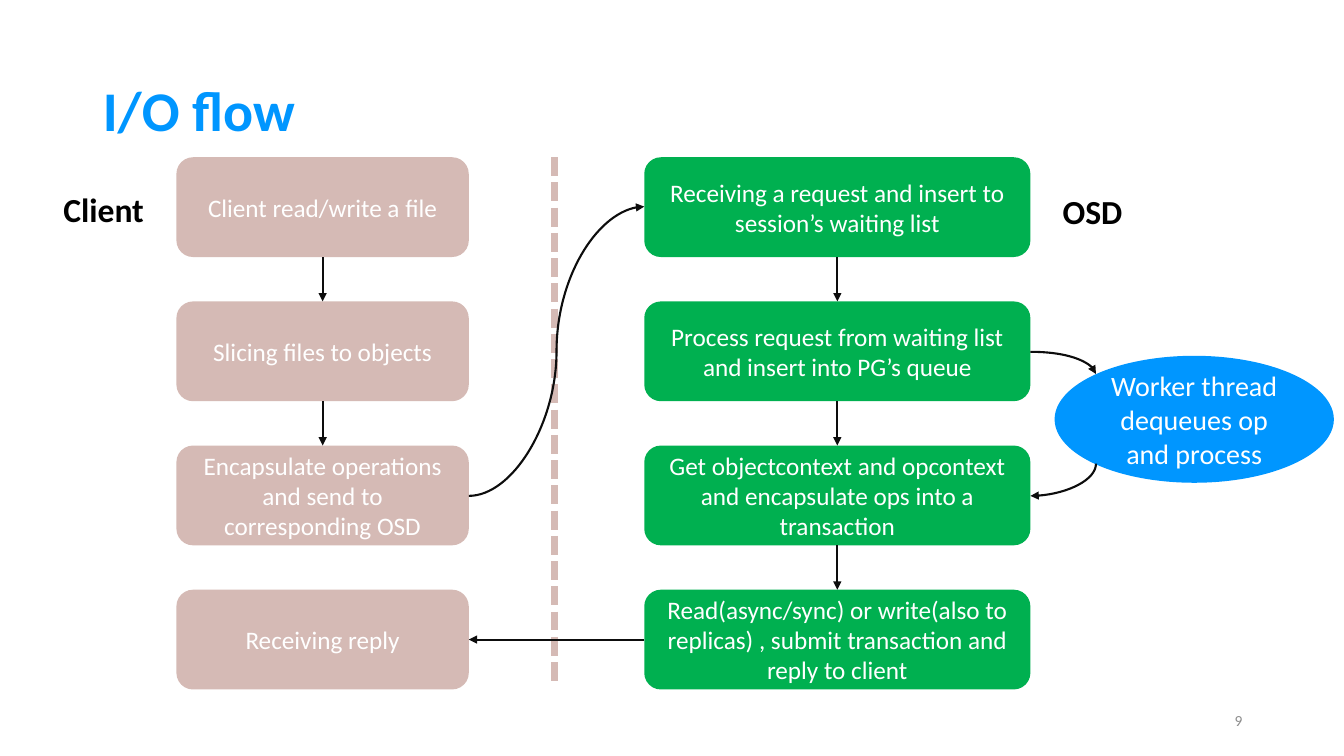
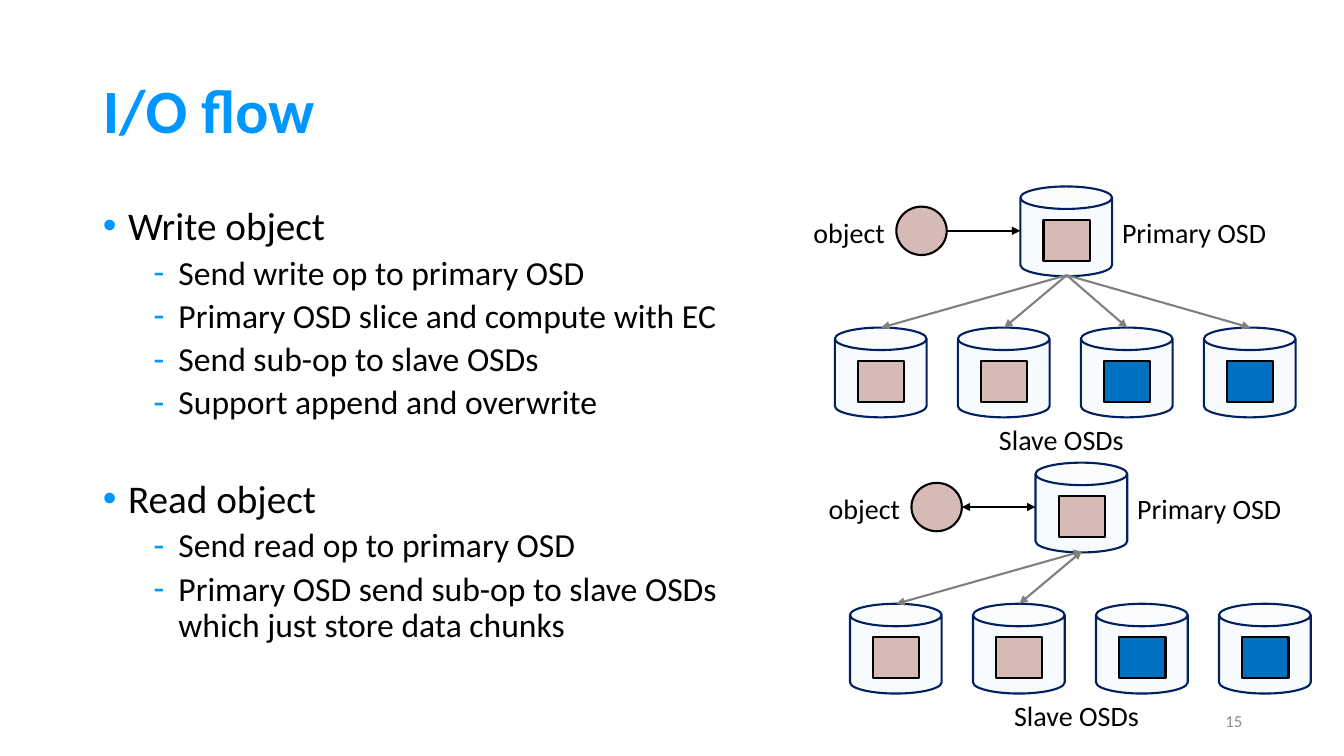
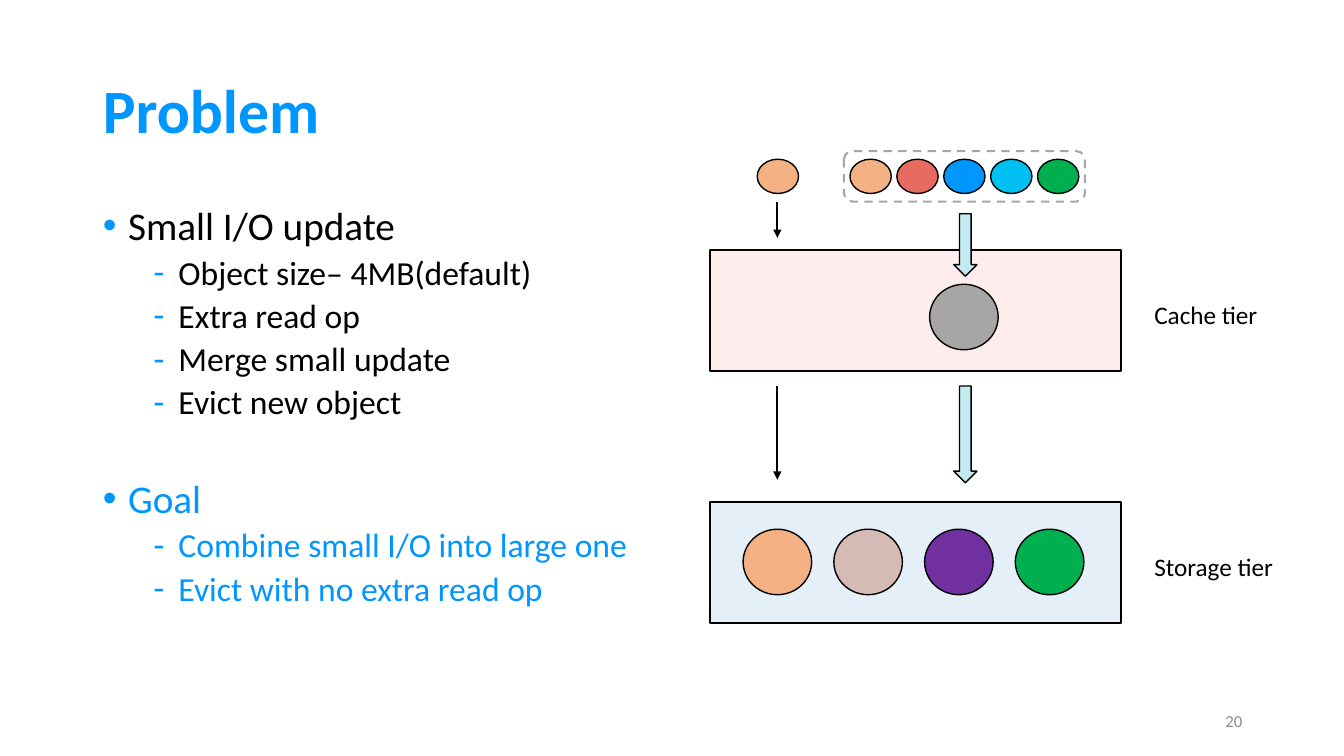
from lxml.etree import SubElement as Sub
from pptx import Presentation
from pptx.dml.color import RGBColor
from pptx.enum.dml import MSO_LINE as Dash
from pptx.enum.shapes import MSO_CONNECTOR as Wire, MSO_SHAPE as Kind
from pptx.enum.text import MSO_ANCHOR as Anchor, MSO_AUTO_SIZE as Fit, PP_ALIGN as Align
from pptx.oxml.ns import qn
from pptx.util import Inches, Pt

FONT = "Calibri"
BLUE = RGBColor(0x00, 0x96, 0xFF)
ROSE = RGBColor(0xD5, 0xBA, 0xB5)
GREEN = RGBColor(0x00, 0xB0, 0x50)
WHITE = RGBColor(0xFF, 0xFF, 0xFF)
BLACK = RGBColor(0x00, 0x00, 0x00)
INK = RGBColor(0x0D, 0x0D, 0x0D)
GRAY = RGBColor(0x80, 0x80, 0x80)
PALE = RGBColor(0x8C, 0x8C, 0x8C)
SILVER = RGBColor(0xA6, 0xA6, 0xA6)
NAVY = RGBColor(0x00, 0x20, 0x60)
STEEL = RGBColor(0x5B, 0x9B, 0xD5)
COBALT = RGBColor(0x00, 0x70, 0xC0)
PEACH = RGBColor(0xF4, 0xB1, 0x83)
CORAL = RGBColor(0xE8, 0x6B, 0x62)
CYAN = RGBColor(0x00, 0xBF, 0xF1)
PURPLE = RGBColor(0x70, 0x30, 0xA0)
AQUA = RGBColor(0xC3, 0xE9, 0xF1)
RED = RGBColor(0xFF, 0x00, 0x00)
SKY = RGBColor(0xBD, 0xD7, 0xEE)


def write(par, text, size=18, color=BLACK, bold=False, align=Align.LEFT, lead=None, before=0):
    """Put formatted text into a paragraph."""
    run = par.add_run()
    run.text = text
    run.font.name, run.font.size, run.font.bold = FONT, Pt(size), bold
    run.font.color.rgb = color
    par.alignment, par.space_before = align, Pt(before)
    if lead:
        par.line_spacing = lead


def mark(par, sign, indent):
    """Give a paragraph a blue bullet with a hanging indent."""
    props = par._p.get_or_add_pPr()
    props.set("marL", str(Inches(indent)))
    props.set("indent", str(-Inches(0.25)))
    Sub(Sub(props, qn("a:buClr")), qn("a:srgbClr"), val=str(BLUE))
    Sub(props, qn("a:buChar"), char=sign)


class Deck:
    """Hold the shared style and the current slide."""

    def __init__(self):
        """Start an empty wide deck."""
        self.show = Presentation()
        self.show.slide_width, self.show.slide_height = Inches(13.33), Inches(7.5)

    def place(self, item, x, y, w, h):
        """Move and size an item."""
        item.left, item.top = Inches(x), Inches(y)
        item.width, item.height = Inches(w), Inches(h)

    def page(self, title, number, layout=1, size=44, small=12):
        """Add a slide with its title and number."""
        self.slide = self.show.slides.add_slide(self.show.slide_layouts[layout])
        head = self.slide.shapes.title
        self.place(head, 0.92, 0.4, 11.5, 1.45)
        head.text_frame.vertical_anchor = Anchor.MIDDLE
        write(head.text_frame.paragraphs[0], title, size=size, color=BLUE, bold=True, lead=0.9)
        foot = self.slide.shapes.add_textbox(Inches(9.42), Inches(6.95), Inches(3), Inches(0.4))
        foot.text_frame.word_wrap = True
        foot.text_frame.vertical_anchor = Anchor.MIDDLE
        write(foot.text_frame.paragraphs[0], number, size=small, color=PALE, align=Align.RIGHT)

    def body(self, width, groups):
        """Fill the body with headed groups of points."""
        body = self.slide.placeholders[1]
        self.place(body, 0.92, 2, width, 4.76)
        frame = body.text_frame
        frame.auto_size = Fit.NONE
        for i, (head, color, points) in enumerate(groups):
            par = frame.add_paragraph() if i else frame.paragraphs[0]
            write(par, head, size=28, color=color, lead=0.9, before=41 if i else 10)
            mark(par, "•", 0.25)
            for point in points:
                par = frame.add_paragraph()
                par.level = 1
                write(par, point, size=24, color=color, lead=0.9, before=5)
                mark(par, "-", 0.75)

    def label(self, text, x, y, w, h, **fmt):
        """Add a one-line label."""
        box = self.slide.shapes.add_textbox(Inches(x), Inches(y), Inches(w), Inches(h))
        box.text_frame.word_wrap = False
        box.text_frame.auto_size = Fit.SHAPE_TO_FIT_TEXT
        write(box.text_frame.paragraphs[0], text, **fmt)

    def shape(self, kind, x, y, w, h, fill=None, alpha=None, line=None, width=1.0, dash=None,
              text=None, size=18):
        """Add a preset shape, with white text if given."""
        item = self.slide.shapes.add_shape(kind, Inches(x), Inches(y), Inches(w), Inches(h))
        item.shadow.inherit = False
        if fill is None:
            item.fill.background()
        else:
            item.fill.solid()
            item.fill.fore_color.rgb = fill
        if alpha:
            tint = item.element.spPr.find(qn("a:solidFill")).find(qn("a:srgbClr"))
            Sub(tint, qn("a:alpha"), val=str(alpha * 1000))
        if line is None:
            item.line.fill.background()
        else:
            item.line.color.rgb, item.line.width = line, Pt(width)
        if dash:
            item.line.dash_style = dash
        if text:
            item.text_frame.word_wrap = True
            item.text_frame.vertical_anchor = Anchor.MIDDLE
            write(item.text_frame.paragraphs[0], text, size=size, color=WHITE, align=Align.CENTER)
        return item

    def line(self, start, end, color=BLACK, width=1.5, kind=Wire.STRAIGHT, head=False, tail=True,
             dash=None, bend=None):
        """Add a connector with optional arrowheads."""
        wire = self.slide.shapes.add_connector(kind, *map(Inches, (*start, *end)))
        wire.line.color.rgb, wire.line.width = color, Pt(width)
        if dash:
            wire.line.dash_style = dash
        props = wire.element.spPr
        for name, used in (("a:headEnd", head), ("a:tailEnd", tail)):
            if used:
                Sub(props.find(qn("a:ln")), qn(name), type="triangle")
        Sub(props, qn("a:effectLst"))
        if bend:
            props.find(qn("a:prstGeom")).set("prst", bend)
        return wire

    def link(self, first, out, second, into):
        """Glue a straight arrow between two boxes."""
        wire = self.line((0, 0), (1, 1), color=INK)
        wire.begin_connect(first, out)
        wire.end_connect(second, into)


def flow(deck):
    """Build the request flow slide."""
    deck.page("I/O flow", "9", layout=5, size=40, small=11)
    lanes = (
        (1.75, 2.9, ROSE, (
            "Client read/write a file",
            "Slicing files to objects",
            "Encapsulate operations and send to corresponding OSD",
            "Receiving reply")),
        (6.39, 3.83, GREEN, (
            "Receiving a request and insert to session’s waiting list",
            "Process request from waiting list and insert into PG’s queue",
            "Get objectcontext and opcontext and encapsulate ops into a transaction",
            "Read(async/sync) or write(also to replicas) , submit transaction and reply to client")),
    )
    client, server = (
        [deck.shape(Kind.ROUNDED_RECTANGLE, x, 1.56 + 1.43 * i, w, 0.99, fill=color, text=text)
         for i, text in enumerate(steps)]
        for x, w, color, steps in lanes)
    deck.shape(Kind.OVAL, 10.46, 3.53, 2.77, 1.26, fill=BLUE, size=20,
               text="Worker thread dequeues op and process")
    deck.line((5.5, 1.56), (5.5, 6.76), color=ROSE, width=4.5, tail=False, dash=Dash.SQUARE_DOT)
    for lane in (client[:3], server):
        for upper, lower in zip(lane, lane[1:]):
            deck.link(upper, 2, lower, 0)
    deck.link(server[3], 1, client[3], 3)
    deck.line((4.65, 4.92), (6.39, 2.05), color=INK, kind=Wire.CURVE)
    deck.line((10.22, 3.49), (10.87, 3.71), color=INK, kind=Wire.CURVE, bend="curvedConnector2")
    deck.line((10.22, 4.92), (10.87, 4.6), color=INK, kind=Wire.CURVE, bend="curvedConnector2",
              head=True, tail=False)
    deck.label("Client", 0.53, 1.83, 1.12, 0.5, size=24, bold=True)
    deck.label("OSD", 10.44, 1.84, 0.88, 0.5, size=24, bold=True)


def store(deck, x, y, color):
    """Draw one disk with its chunk."""
    deck.shape(Kind.CAN, x, y, 0.91, 0.89, fill=STEEL, alpha=4, line=NAVY, width=1.5)
    deck.shape(Kind.RECTANGLE, x + 0.23, y + 0.33, 0.46, 0.41, fill=color, line=BLACK, width=1.5)


def spread(deck, x, y, count, both):
    """Draw a primary disk and its slaves."""
    store(deck, x + 1.84, y, ROSE)
    deck.shape(Kind.OVAL, x + 0.61, y + 0.2, 0.5, 0.48, fill=ROSE, line=BLACK, width=1.5)
    deck.line((x + 1.11, y + 0.44), (x + 1.84, y + 0.44), head=both)
    for i, color in enumerate((ROSE, ROSE, COBALT, COBALT)):
        left = x + 1.22 * i
        store(deck, left, y + 1.4, color)
        if i < count:
            deck.line((x + 2.3, y + 0.88), (left + 0.46, y + 1.4), color=GRAY, head=both)
    deck.label("object", x - 0.31, y + 0.24, 0.93, 0.44, size=20)
    deck.label("Primary OSD", x + 2.75, y + 0.24, 1.71, 0.44, size=20)
    deck.label("Slave OSDs", x + 1.53, y + 2.29, 1.53, 0.44, size=20)


def access(deck):
    """Build the write and read slide."""
    deck.page("I/O flow", "15")
    deck.body(6.82, (
        ("Write object", BLACK, (
            "Send write op to primary OSD",
            "Primary OSD slice and compute with EC",
            "Send sub-op to slave OSDs",
            "Support append and overwrite")),
        ("Read object", BLACK, (
            "Send read op to primary OSD",
            "Primary OSD send sub-op to slave OSDs which just store data chunks")),
    ))
    spread(deck, 8.28, 1.85, 4, False)
    spread(deck, 8.43, 4.59, 2, True)


def tiers(deck):
    """Build the cache and storage tier slide."""
    deck.page("Problem", "20")
    deck.body(11.5, (
        ("Small I/O update", BLACK, (
            "Object size– 4MB(default)",
            "Extra read op",
            "Merge small update",
            "Evict new object")),
        ("Goal", BLUE, (
            "Combine small I/O into large one",
            "Evict with no extra read op")),
    ))
    for y, color, alpha, text, w in ((2.48, RED, 7, "Cache tier", 1.29),
                                     (4.98, SKY, 39, "Storage tier", 1.47)):
        deck.shape(Kind.RECTANGLE, 7.04, y, 4.08, 1.2, fill=color, alpha=alpha, line=BLACK)
        deck.label(text, 11.35, y + 0.44, w, 0.4)
    large = [(7.37 + 0.9 * i, 5.25, color)
             for i, color in enumerate((PEACH, ROSE, PURPLE, GREEN))]
    for x, y, color in large + [(9.22, 2.82, SILVER)]:
        deck.shape(Kind.OVAL, x, y, 0.68, 0.65, fill=color, line=BLACK)
    small = [(8.43 + 0.465 * i, color)
             for i, color in enumerate((PEACH, CORAL, BLUE, CYAN, GREEN))]
    for x, color in [(7.51, PEACH)] + small:
        deck.shape(Kind.OVAL, x, 1.58, 0.41, 0.34, fill=color, line=BLACK)
    for top, end in ((2, 2.36), (3.83, 4.76)):
        deck.line((7.71, top), (7.71, end))
    for y, h in ((2.12, 0.62), (3.83, 0.96)):
        deck.shape(Kind.DOWN_ARROW, 9.46, y, 0.23, h, fill=AQUA, line=BLACK)
    deck.shape(Kind.ROUNDED_RECTANGLE, 8.37, 1.5, 2.39, 0.5, line=SILVER, width=1.5,
               dash=Dash.DASH)


def main():
    """Build and save the deck."""
    deck = Deck()
    for build in (flow, access, tiers):
        build(deck)
    deck.show.save("out.pptx")


if __name__ == "__main__":
    main()
